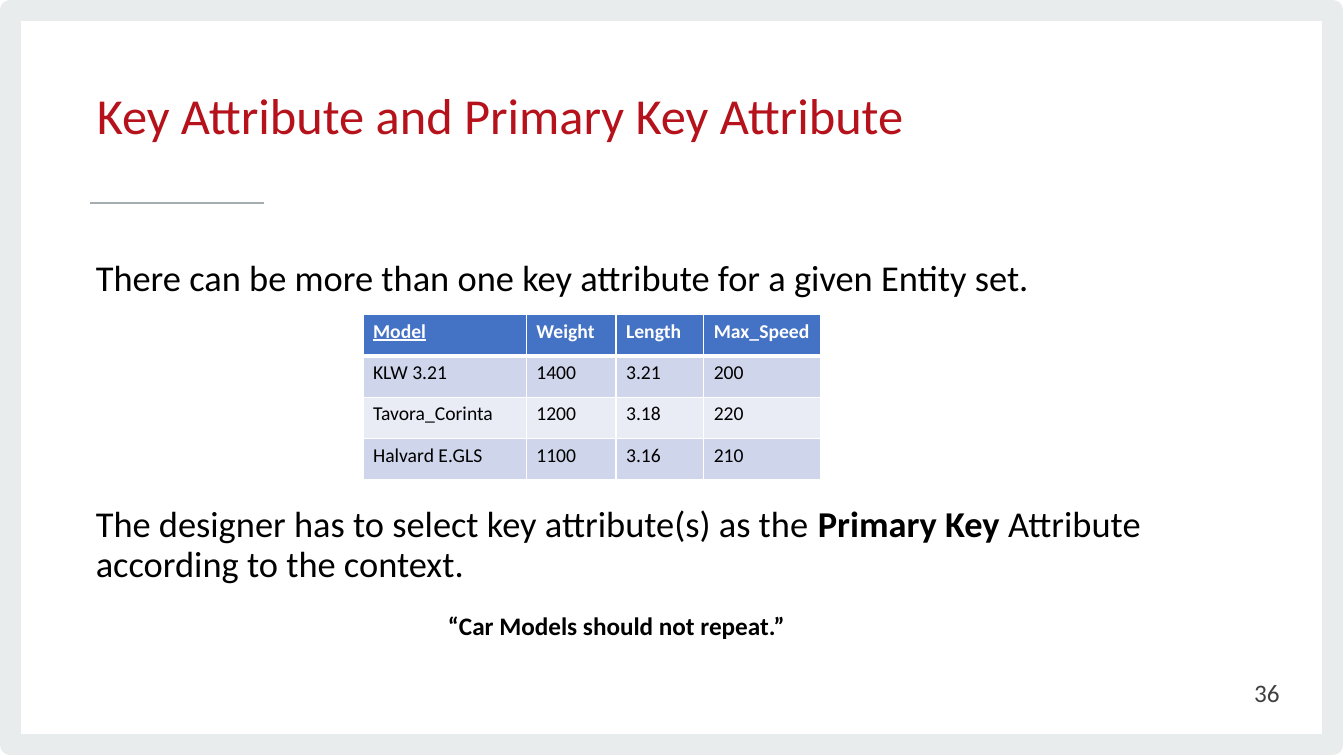
from dataclasses import dataclass

from pptx import Presentation
from pptx import util as u
from pptx.dml import color
from pptx.enum import shapes, text
from pptx.oxml import ns
from lxml import etree

PX = 9144
FONT = "Calibri"
COLORS = {
    "frame": "E9ECED", "rule": "A6ADB1", "title": "B5121B", "ink": "000000",
    "number": "414042", "white": "FFFFFF", "header": "4472C4",
    "band": "CFD5EA", "plain": "E9EBF5",
}
COLUMN_WIDTHS = (162, 89, 87, 116)
ROW_HEIGHT = 41
CARS = (
    ("Model", "Weight", "Length", "Max_Speed"),
    ("KLW 3.21", "1400", "3.21", "200"),
    ("Tavora_Corinta", "1200", "3.18", "220"),
    ("Halvard E.GLS", "1100", "3.16", "210"),
)


@dataclass(frozen=True)
class Box:
    left: int
    top: int
    width: int
    height: int

    def emu(self) -> tuple[int, int, int, int]:
        return self.left * PX, self.top * PX, self.width * PX, self.height * PX


@dataclass(frozen=True)
class Style:
    size: int
    ink: str
    bold: bool = False
    underline: bool = False


@dataclass(frozen=True)
class Note:
    words: str
    box: Box
    style: Style
    align: text.PP_ALIGN


NOTES = (
    Note("36", Box(979, 667, 300, 40), Style(18, "number"), text.PP_ALIGN.RIGHT),
    Note("“Car Models should not repeat.”", Box(278, 600, 667, 40),
         Style(18, "ink", bold=True), text.PP_ALIGN.CENTER),
)


def rgb(name: str) -> color.RGBColor:
    return color.RGBColor.from_string(COLORS[name])


def add_run(paragraph, words: str, style: Style) -> None:
    run = paragraph.add_run()
    run.text = words
    run.font.name = FONT
    run.font.size = u.Pt(style.size)
    run.font.bold = style.bold
    run.font.underline = style.underline
    run.font.color.rgb = rgb(style.ink)


def place(holder, box: Box, anchor: text.MSO_ANCHOR):
    holder.left, holder.top, holder.width, holder.height = box.emu()
    frame = holder.text_frame
    frame.word_wrap = True
    frame.auto_size = text.MSO_AUTO_SIZE.NONE
    frame.vertical_anchor = anchor
    return frame


def add_frame_and_rule(slide) -> None:
    border = slide.shapes.add_shape(shapes.MSO_SHAPE.RECTANGLE, *Box(10, 10, 1312, 729).emu())
    border.shadow.inherit = False
    border.fill.background()
    border.line.color.rgb = rgb("frame")
    border.line.width = u.Pt(15.11)
    rule = slide.shapes.add_connector(
        shapes.MSO_CONNECTOR.STRAIGHT, 89 * PX, 201 * PX, 262 * PX, 201 * PX)
    rule.line.color.rgb = rgb("rule")
    rule.line.width = u.Pt(1.33)
    etree.SubElement(rule._element.spPr, ns.qn("a:effectLst"))


def fill_title(slide) -> None:
    frame = place(slide.shapes.title, Box(86, 52, 879, 134), text.MSO_ANCHOR.MIDDLE)
    heading = frame.paragraphs[0]
    heading.alignment = text.PP_ALIGN.LEFT
    heading.line_spacing = u.Pt(34.7)
    add_run(heading, "Key Attribute and Primary Key Attribute", Style(36, "title"))


def fill_body(slide) -> None:
    frame = place(slide.placeholders[1], Box(85, 253, 1065, 422), text.MSO_ANCHOR.TOP)
    regular, strong = Style(26, "ink"), Style(26, "ink", bold=True)
    statements = (
        (0, (("There can be more than one key attribute for a given Entity set.", regular),)),
        (148, (("The designer has to select key attribute(s) as the ", regular),
               ("Primary Key", strong),
               (" Attribute according to the context.", regular))),
    )
    for index, (gap, parts) in enumerate(statements):
        statement = frame.add_paragraph() if index else frame.paragraphs[0]
        properties = statement._p.get_or_add_pPr()
        properties.set("marL", "0")
        properties.set("indent", "0")
        etree.SubElement(properties, ns.qn("a:buNone"))
        statement.alignment = text.PP_ALIGN.LEFT
        statement.line_spacing = 0.9
        statement.space_before = u.Pt(gap)
        statement.space_after = u.Pt(0)
        for words, style in parts:
            add_run(statement, words, style)


def set_border(cell, side: str, points: int) -> None:
    edge = etree.SubElement(cell._tc.get_or_add_tcPr(), ns.qn(f"a:{side}"), w=str(u.Pt(points)))
    paint = etree.SubElement(edge, ns.qn("a:solidFill"))
    etree.SubElement(paint, ns.qn("a:srgbClr"), val=COLORS["white"])


def add_car_table(slide) -> None:
    box = Box(360, 312, sum(COLUMN_WIDTHS), ROW_HEIGHT * len(CARS))
    table = slide.shapes.add_table(len(CARS), len(COLUMN_WIDTHS), *box.emu()).table
    for column, width in zip(table.columns, COLUMN_WIDTHS):
        column.width = width * PX
    for r, car in enumerate(CARS):
        table.rows[r].height = ROW_HEIGHT * PX
        header = r == 0
        for c, value in enumerate(car):
            cell = table.cell(r, c)
            for side in ("lnL", "lnR", "lnT", "lnB"):
                set_border(cell, side, 3 if (r, side) in ((0, "lnB"), (1, "lnT")) else 1)
            cell.fill.solid()
            cell.fill.fore_color.rgb = rgb("header" if header else "band" if r % 2 else "plain")
            style = Style(14, "white" if header else "ink", header, header and c == 0)
            add_run(cell.text_frame.paragraphs[0], value, style)


def add_note(slide, note: Note) -> None:
    frame = place(slide.shapes.add_textbox(*note.box.emu()), note.box, text.MSO_ANCHOR.MIDDLE)
    frame.paragraphs[0].alignment = note.align
    add_run(frame.paragraphs[0], note.words, note.style)


def main() -> None:
    """Build the slide on key attributes and save it."""
    deck = Presentation()
    deck.slide_width, deck.slide_height = 1333 * PX, 750 * PX
    slide = deck.slides.add_slide(deck.slide_layouts[1])
    add_frame_and_rule(slide)
    fill_title(slide)
    fill_body(slide)
    add_car_table(slide)
    for note in NOTES:
        add_note(slide, note)
    deck.save("out.pptx")


if __name__ == "__main__":
    main()
